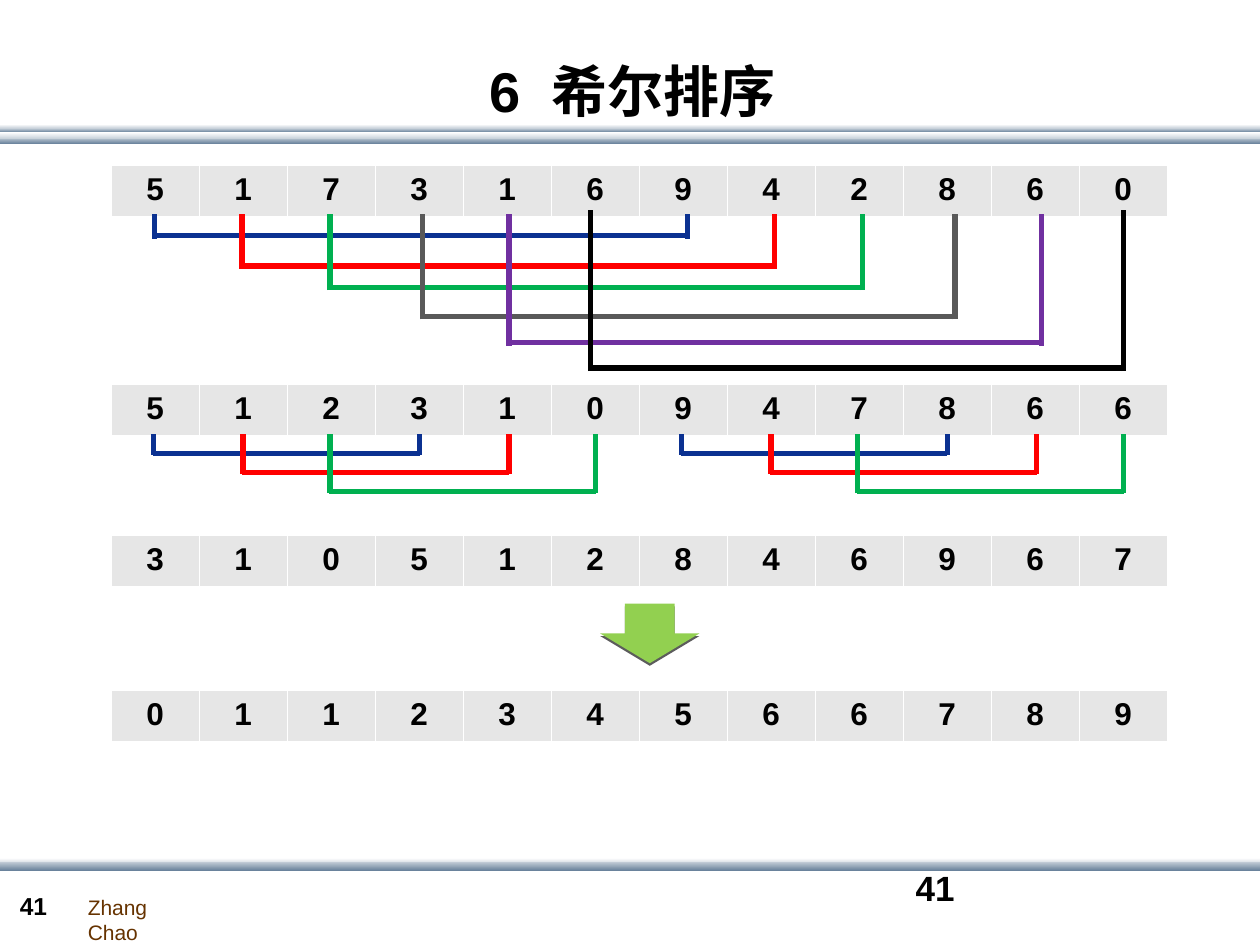
from lxml.etree import SubElement
from pptx import Presentation
from pptx.dml.color import RGBColor
from pptx.enum.shapes import MSO_CONNECTOR as CONN, MSO_SHAPE as SHAPE
from pptx.enum.text import MSO_ANCHOR as ANCHOR, PP_ALIGN as ALIGN
from pptx.oxml import parse_xml
from pptx.oxml.ns import nsdecls, qn
from pptx.util import Cm, Pt


def rgb(value):
    return RGBColor.from_string(value)


class SlideBuilder:
    font = "Arial"
    black = "000000"
    cell_fill = "E6E6E6"
    border = "FFFFFF"
    border_widths = {"L": 0.45, "R": 0.45, "T": 0.45, "B": 1.47}
    line_width = 3

    def __init__(self, prs):
        self.s = prs.slides.add_slide(prs.slide_layouts[6])

    def style(self, p, size, color=black, bold=True, align=None):
        p.alignment = align
        p.font.name = self.font
        p.font.size = Pt(size)
        p.font.bold = bold
        p.font.color.rgb = rgb(color)

    def text(self, text, left, top, width, height, size, anchor=ANCHOR.TOP,
             wrap=True, **look):
        sp = self.s.shapes.add_textbox(Cm(left), Cm(top), Cm(width), Cm(height))
        tf = sp.text_frame
        tf.word_wrap = wrap
        tf.vertical_anchor = anchor
        p = tf.paragraphs[0]
        p.text = text
        self.style(p, size, **look)

    def band(self, top, height, start, end):
        sp = self.s.shapes.add_shape(SHAPE.RECTANGLE, 0, Cm(top), Cm(25.42), Cm(height))
        sp.shadow.inherit = False
        sp.line.fill.background()
        sp.fill.gradient()
        sp.fill.gradient_angle = 270
        for stop, color, position in zip(sp.fill.gradient_stops, (start, end), (0, 1)):
            stop.color.rgb = rgb(color)
            stop.position = position

    def array(self, digits, top):
        frame = self.s.shapes.add_table(1, len(digits), Cm(2.24), Cm(top),
                                        Cm(21.29), Cm(1.04))
        table = frame.table
        table.first_row = table.horz_banding = False
        for cell, digit in zip(table.iter_cells(), digits):
            p = cell.text_frame.paragraphs[0]
            p.text = digit
            self.style(p, 18, align=ALIGN.CENTER)
            self.borders(cell)
            cell.fill.solid()
            cell.fill.fore_color.rgb = rgb(self.cell_fill)

    def borders(self, cell):
        tc_pr = cell._tc.get_or_add_tcPr()
        for side, width in self.border_widths.items():
            ln = SubElement(tc_pr, qn(f"a:ln{side}"), w=str(Pt(width)))
            fill = SubElement(ln, qn("a:solidFill"))
            SubElement(fill, qn("a:srgbClr"), val=self.border)

    def line(self, shapes, x1, y1, x2, y2, color):
        line = shapes.add_connector(CONN.STRAIGHT, Cm(x1), Cm(y1), Cm(x2), Cm(y2))
        line.line.color.rgb = rgb(color)
        line.line.width = Pt(self.line_width)
        SubElement(line._element.spPr, qn("a:effectLst"))

    def bracket(self, left, span, top, bar, color, overhang):
        shapes = self.s.shapes.add_group_shape().shapes
        right = left + span
        self.line(shapes, left - 0.02, bar, right, bar, color)
        for x in (left, right):
            self.line(shapes, x, bar + overhang, x, top, color)

    def down_arrow(self, left, top, width, height, color):
        sp = self.s.shapes.add_shape(SHAPE.DOWN_ARROW, Cm(left), Cm(top),
                                     Cm(width), Cm(height))
        sp.fill.solid()
        sp.fill.fore_color.rgb = rgb(color)
        sp.line.fill.background()
        sp._element.spPr.append(parse_xml(
            f'<a:effectLst {nsdecls("a")}><a:outerShdw blurRad="0" dist="{Pt(1.5)}" '
            f'dir="5400000" rotWithShape="0"><a:srgbClr val="{self.black}">'
            '<a:alpha val="63000"/></a:srgbClr></a:outerShdw></a:effectLst>'))


def main():
    prs = Presentation()
    prs.slide_width, prs.slide_height = Cm(25.4), Cm(19.05)
    b = SlideBuilder(prs)

    white, pale, steel = "FFFFFF", "C8D1DA", "6A839C"
    for top, height, start, end in (
        (2.77, 0.13, pale, steel), (2.59, 0.08, pale, steel),
        (2.67, 0.13, white, pale), (2.51, 0.08, white, pale),
        (17.3, 0.13, white, pale), (17.37, 0.18, pale, steel),
    ):
        b.band(top, height, start, end)

    b.text("Zhang Chao", 1.52, 17.91, 2.82, 0.76, 12, wrap=False,
           color="663300", bold=False)
    b.text("41", 0.15, 17.83, 1.4, 0.86, 14)
    b.text("41", 18.21, 17.35, 5.92, 1.27, 20)
    b.text("6  希尔排序", 0.56, 1.12, 24.38, 1.4, 32, anchor=ANCHOR.MIDDLE,
           align=ALIGN.CENTER)

    for digits, top in (("517316942860", 3.33), ("512310947866", 7.75),
                        ("310512846967", 10.8), ("011234566789", 13.92)):
        b.array(digits, top)

    blue, red, green = "0B3191", "FF0000", "00B050"
    for left, top, bar, color in (
        (3.12, 4.32, 4.75, blue), (4.88, 4.32, 5.36, red),
        (6.65, 4.32, 5.79, green), (8.51, 4.32, 6.38, "595959"),
        (10.26, 4.32, 6.91, "7030A0"), (11.91, 4.24, 7.42, "000000"),
    ):
        b.bracket(left, 10.74, top, bar, color, 0.06)

    for half in (0, 10.64):
        for left, bar, color in ((3.1, 9.14, blue), (4.9, 9.53, red),
                                 (6.65, 9.91, green)):
            b.bracket(left + half, 5.36, 8.74, bar, color, 0.03)

    b.down_arrow(12.1, 12.17, 2, 1.2, "92D050")
    prs.save("out.pptx")


if __name__ == "__main__":
    main()
